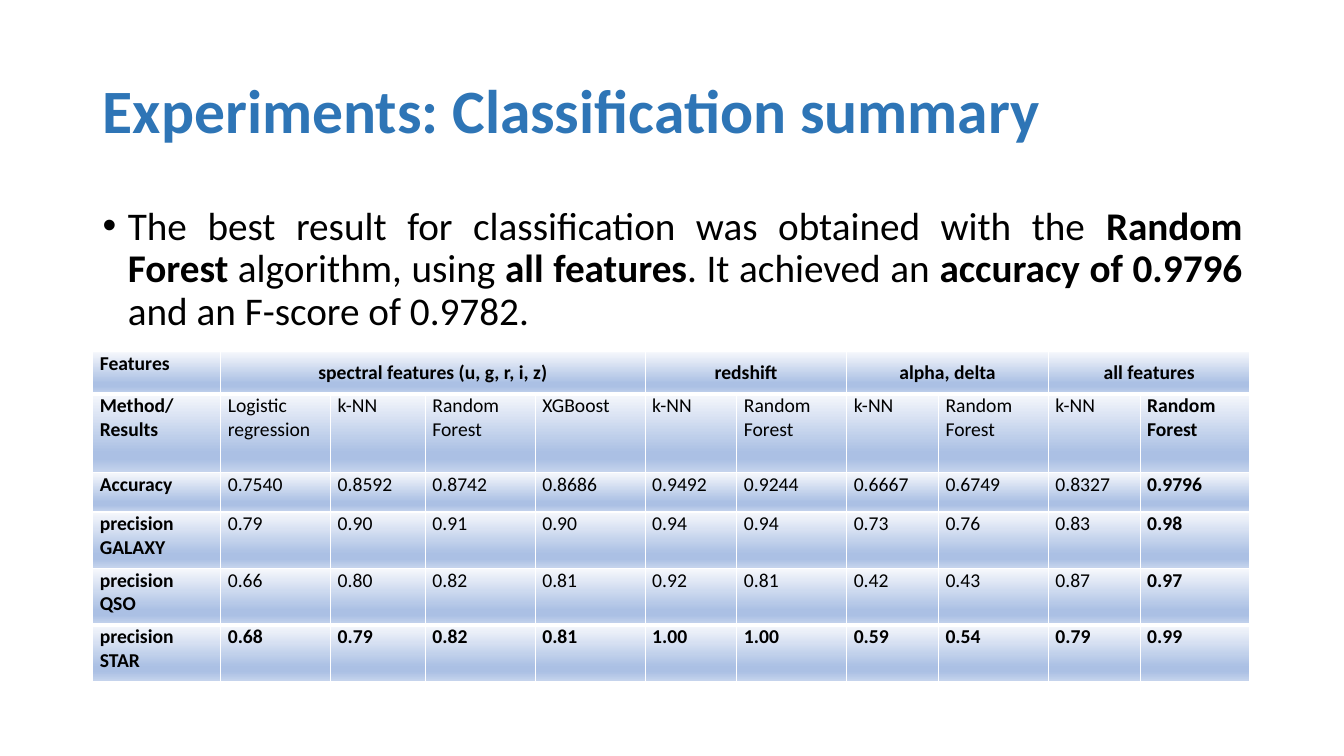
from lxml.etree import SubElement
from pptx import Presentation
from pptx.dml.color import RGBColor
from pptx.enum.text import MSO_ANCHOR as Anchor, MSO_AUTO_SIZE as AutoSize, PP_ALIGN as Align
from pptx.oxml.ns import qn
from pptx.util import Inches, Pt

BLUE = RGBColor(0x2E, 0x75, 0xB6)
BLACK = RGBColor(0, 0, 0)
WHITE = RGBColor(0xFF, 0xFF, 0xFF)
PALE = RGBColor(0xF6, 0xF8, 0xFC)
MID = RGBColor(0xAB, 0xC0, 0xE4)
SOFT = RGBColor(0xC7, 0xD5, 0xED)
STOPS = [(0, PALE), (74, MID), (83, MID), (100, SOFT)]

LEFT, WIDTH = 0.92, 11.5
COL_WIDTHS = [1.27, 1.09, 0.94, 1.09, 1.09] + [0.91, 1.09] * 3
ROW_HEIGHTS = [0.42, 0.78, 0.39, 0.56, 0.56, 0.56]
GROUPS = [
    ("Features", 1),
    ("spectral features (u, g, r, i, z)", 4),
    ("redshift", 2),
    ("alpha, delta", 2),
    ("all features", 2),
]
METHODS = ["Logistic regression", "k-NN", "Random Forest", "XGBoost"]
RESULTS = [
    ["Method/ Results"] + METHODS + ["k-NN", "Random Forest"] * 3,
    ["Accuracy", "0.7540", "0.8592", "0.8742", "0.8686", "0.9492",
     "0.9244", "0.6667", "0.6749", "0.8327", "0.9796"],
    ["precision GALAXY", "0.79", "0.90", "0.91", "0.90", "0.94",
     "0.94", "0.73", "0.76", "0.83", "0.98"],
    ["precision QSO", "0.66", "0.80", "0.82", "0.81", "0.92",
     "0.81", "0.42", "0.43", "0.87", "0.97"],
    ["precision STAR", "0.68", "0.79", "0.82", "0.81", "1.00",
     "1.00", "0.59", "0.54", "0.79", "0.99"],
]
SUMMARY = [
    ("The best result for classification was obtained with the ", False),
    ("Random Forest", True),
    (" algorithm, using ", False),
    ("all features", True),
    (". It achieved an ", False),
    ("accuracy of 0.9796", True),
    (" and an F-score of 0.9782.", False),
]


class SlideBuilder:
    """Holds the text style and the current slide, and adds its elements."""

    def __init__(self, prs, font="Calibri"):
        self.font = font
        self.s = prs.slides.add_slide(prs.slide_layouts[5])

    def run(self, p, text, size, color=BLACK, bold=False):
        r = p.add_run()
        r.text = text
        r.font.name = self.font
        r.font.size = Pt(size)
        r.font.bold = bold
        r.font.color.rgb = color

    def title(self, text, top, height):
        sp = self.s.shapes.title
        sp.left, sp.top = Inches(LEFT), Inches(top)
        sp.width, sp.height = Inches(WIDTH), Inches(height)
        tf = sp.text_frame
        tf.auto_size = AutoSize.NONE
        tf.vertical_anchor = Anchor.MIDDLE
        p = tf.paragraphs[0]
        p.alignment = Align.LEFT
        p.line_spacing = 0.9
        self.run(p, text, 44, BLUE, True)

    def bullet(self, runs, top, height):
        sp = self.s.shapes.add_textbox(Inches(LEFT), Inches(top), Inches(WIDTH), Inches(height))
        tf = sp.text_frame
        tf.word_wrap = True
        p = tf.paragraphs[0]
        pPr = p._p.get_or_add_pPr()
        pPr.set("marL", str(Inches(0.25)))
        pPr.set("indent", str(-Inches(0.25)))
        SubElement(pPr, qn("a:buFont"), typeface="Arial")
        SubElement(pPr, qn("a:buChar"), char="•")
        p.alignment = Align.JUSTIFY
        p.line_spacing = 0.9
        for text, bold in runs:
            self.run(p, text, 28, bold=bold)

    def table(self, top, groups, results):
        rows, cols = len(ROW_HEIGHTS), len(COL_WIDTHS)
        frame = self.s.shapes.add_table(
            rows, cols, Inches(LEFT), Inches(top), Inches(WIDTH), Inches(sum(ROW_HEIGHTS)))
        tbl = frame.table
        for col, width in zip(tbl.columns, COL_WIDTHS):
            col.width = Inches(width)
        for row, height in zip(tbl.rows, ROW_HEIGHTS):
            row.height = Inches(height)
        for i in range(rows):
            for j in range(cols):
                self.style_cell(tbl.cell(i, j), 3 if i == rows - 1 else 1, 3 if i == 0 else 1)
        start = 0
        for text, span in groups:
            cell = tbl.cell(0, start)
            if span > 1:
                cell.merge(tbl.cell(0, start + span - 1))
                cell.vertical_anchor = Anchor.MIDDLE
            self.cell_text(cell, text, True, Align.CENTER if span > 1 else Align.JUSTIFY)
            start += span
        for i, values in enumerate(results, 1):
            for j, text in enumerate(values):
                bold = j in (0, cols - 1) or i == rows - 1
                self.cell_text(tbl.cell(i, j), text, bold, Align.JUSTIFY)

    def cell_text(self, cell, text, bold, align):
        p = cell.text_frame.paragraphs[0]
        p.alignment = align
        self.run(p, text, 14, bold=bold)

    def style_cell(self, cell, top_line, bottom_line):
        cell.margin_left = cell.margin_right = Inches(0.07)
        cell.margin_top = cell.margin_bottom = 0
        tcPr = cell._tc.get_or_add_tcPr()
        for side, width in zip("LRTB", (1, 1, top_line, bottom_line)):
            ln = SubElement(tcPr, qn(f"a:ln{side}"), w=str(Pt(width)))
            SubElement(SubElement(ln, qn("a:solidFill")), qn("a:srgbClr"), val=str(WHITE))
        grad = SubElement(tcPr, qn("a:gradFill"), rotWithShape="1")
        stops = SubElement(grad, qn("a:gsLst"))
        for pos, color in STOPS:
            gs = SubElement(stops, qn("a:gs"), pos=str(pos * 1000))
            SubElement(gs, qn("a:srgbClr"), val=str(color))
        SubElement(grad, qn("a:lin"), ang="5400000", scaled="0")


def main():
    prs = Presentation()
    prs.slide_width, prs.slide_height = Inches(13.33), Inches(7.5)
    slide = SlideBuilder(prs)
    slide.title("Experiments: Classification summary", 0.4, 1.45)
    slide.bullet(SUMMARY, 2, 4.76)
    slide.table(3.49, GROUPS, RESULTS)
    prs.save("out.pptx")


if __name__ == "__main__":
    main()
